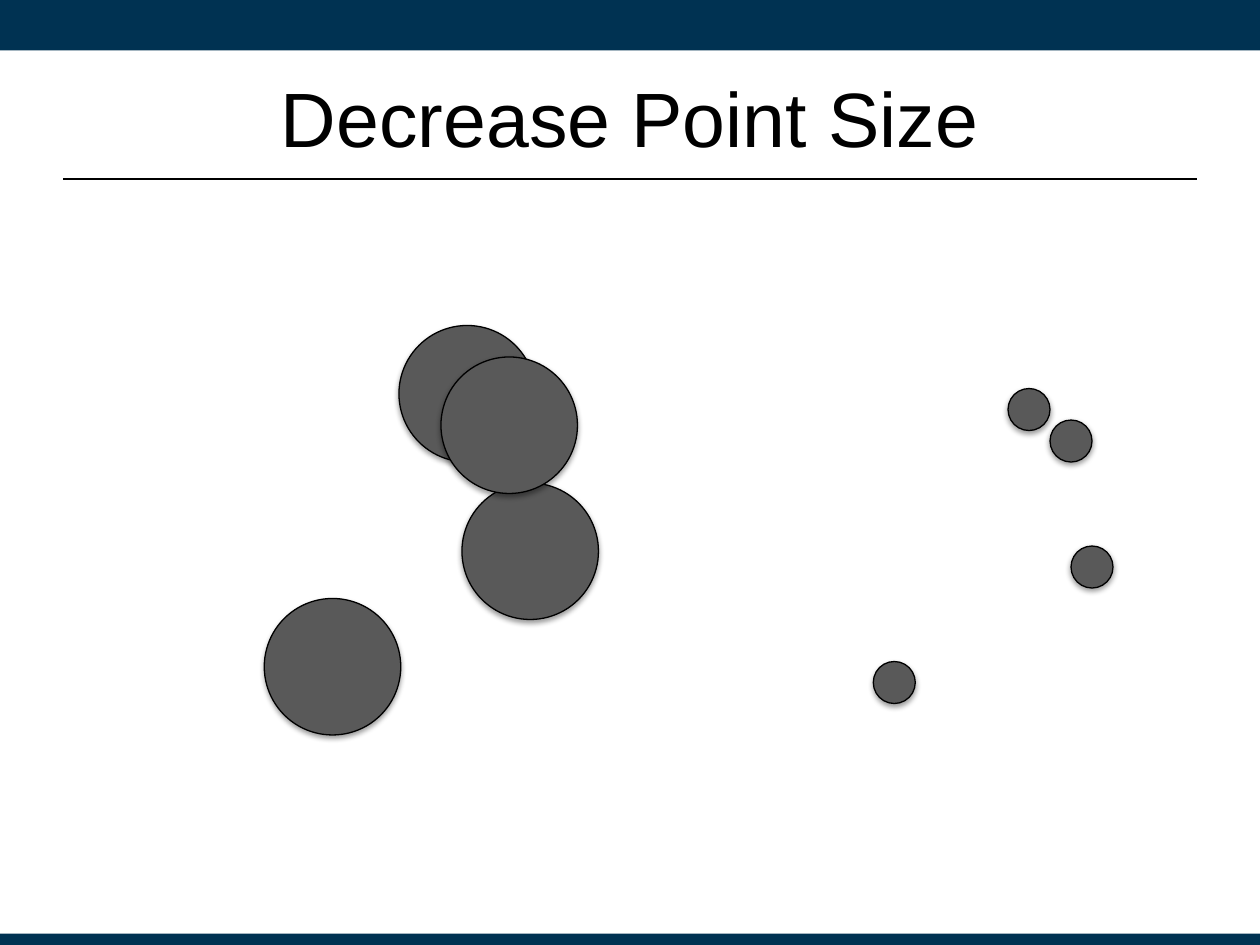
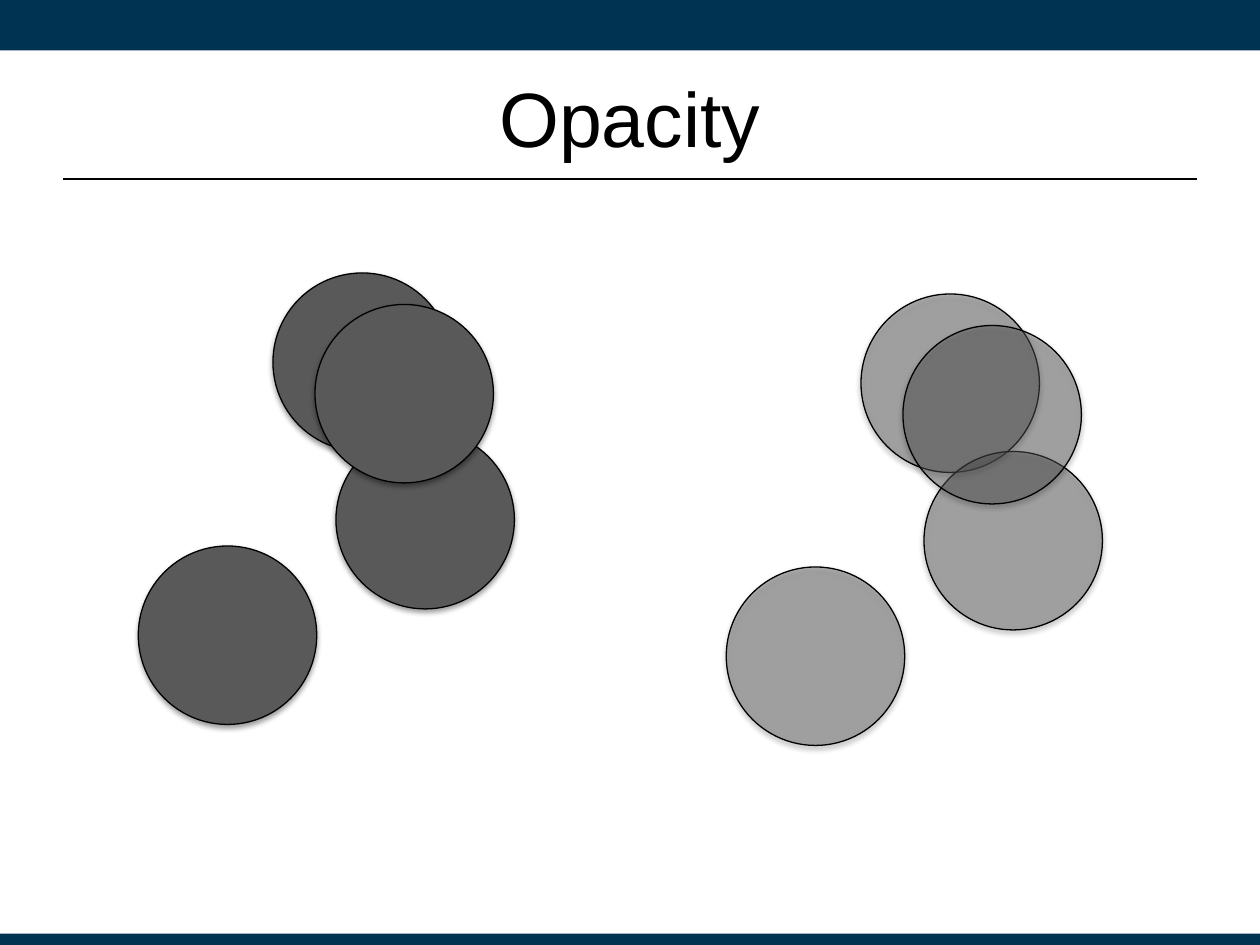
from lxml import etree
from pptx import Presentation
from pptx import util as u
from pptx.dml.color import RGBColor
from pptx.enum import shapes, text
from pptx.oxml import ns

COLORS = {"band": "003252", "ink": "000000", "dot": "595959"}
FONT = "Arial"

deck = Presentation()
deck.slide_width, deck.slide_height = u.Inches(10), u.Inches(7.5)
WIDTH, HEIGHT = deck.slide_width, deck.slide_height
CELL = WIDTH / 120
MARGIN = int(WIDTH * 0.05)
DOT_OFFSETS = [(0, 0), (-12.83, 26), (6, 15), (4, 3)]

SLIDES = [
    ("Decrease Point Size", [
        {"column": 38, "row": 31, "size": 13, "opacity": 100},
        {"column": 96, "row": 37, "size": 4, "opacity": 100},
    ]),
    ("Opacity", [
        {"column": 82, "row": 28, "size": 17, "opacity": 43},
        {"column": 26, "row": 26, "size": 17, "opacity": 100},
    ]),
]


def write(box, words, size=44, color="ink", align=text.PP_ALIGN.CENTER):
    box.text_frame.vertical_anchor = text.MSO_ANCHOR.MIDDLE
    para = box.text_frame.paragraphs[0]
    para.alignment = align
    span = para.add_run()
    span.text = words
    span.font.name = FONT
    span.font.size = u.Pt(size)
    span.font.color.rgb = RGBColor.from_string(COLORS[color])


def add_dot(page, column, row, size, opacity):
    dot = page.shapes.add_shape(
        shapes.MSO_SHAPE.OVAL, *[int(n * CELL) for n in (column, row, size, size)])
    dot.fill.solid()
    dot.fill.fore_color.rgb = RGBColor.from_string(COLORS["dot"])
    dot.line.color.rgb = RGBColor.from_string(COLORS["ink"])
    dot.line.width = u.Pt(0.75)
    dot.shadow.inherit = False
    properties = dot.element.spPr
    if opacity < 100:
        fill = properties.find(ns.qn("a:solidFill"))[0]
        etree.SubElement(fill, ns.qn("a:alpha"), val=str(opacity * 1000))
    shadow = etree.SubElement(
        properties.find(ns.qn("a:effectLst")), ns.qn("a:outerShdw"),
        blurRad="40000", dist="20000", dir="5400000", rotWithShape="0")
    shade = etree.SubElement(shadow, ns.qn("a:srgbClr"), val=COLORS["ink"])
    etree.SubElement(shade, ns.qn("a:alpha"), val="38000")


layout = deck.slide_layouts[5]
heading = layout.placeholders[0]
heading.left, heading.top = MARGIN, int(HEIGHT * 0.04)
heading.width, heading.height = WIDTH - 2 * MARGIN, u.Inches(1.25)

pages = [deck.slides.add_slide(layout) for _ in SLIDES]

furniture = []
for top, height in [(0, u.Inches(0.4)), (u.Inches(7.41), u.Inches(0.1))]:
    band = pages[0].shapes.add_shape(shapes.MSO_SHAPE.RECTANGLE, 0, top, WIDTH, height)
    band.fill.solid()
    band.fill.fore_color.rgb = RGBColor.from_string(COLORS["band"])
    band.line.fill.background()
    band.shadow.inherit = False
    furniture.append(band)

rule_top = u.Inches(1.42)
rule = pages[0].shapes.add_connector(
    shapes.MSO_CONNECTOR.STRAIGHT, MARGIN, rule_top, WIDTH - MARGIN, rule_top)
rule.line.color.rgb = RGBColor.from_string(COLORS["ink"])
rule.line.width = u.Pt(1.25)
etree.SubElement(rule.element.spPr, ns.qn("a:effectLst"))
furniture.append(rule)

for number, part in enumerate(furniture):
    part.element.find(".//" + ns.qn("p:cNvPr")).set("id", str(100 + number))
    layout.shapes.element.insert(2 + number, part.element)

for page, (title, clusters) in zip(pages, SLIDES):
    write(page.shapes.title, title)
    for cluster in clusters:
        for across, down in DOT_OFFSETS:
            add_dot(page, cluster["column"] + across, cluster["row"] + down,
                    cluster["size"], cluster["opacity"])

deck.save("out.pptx")
